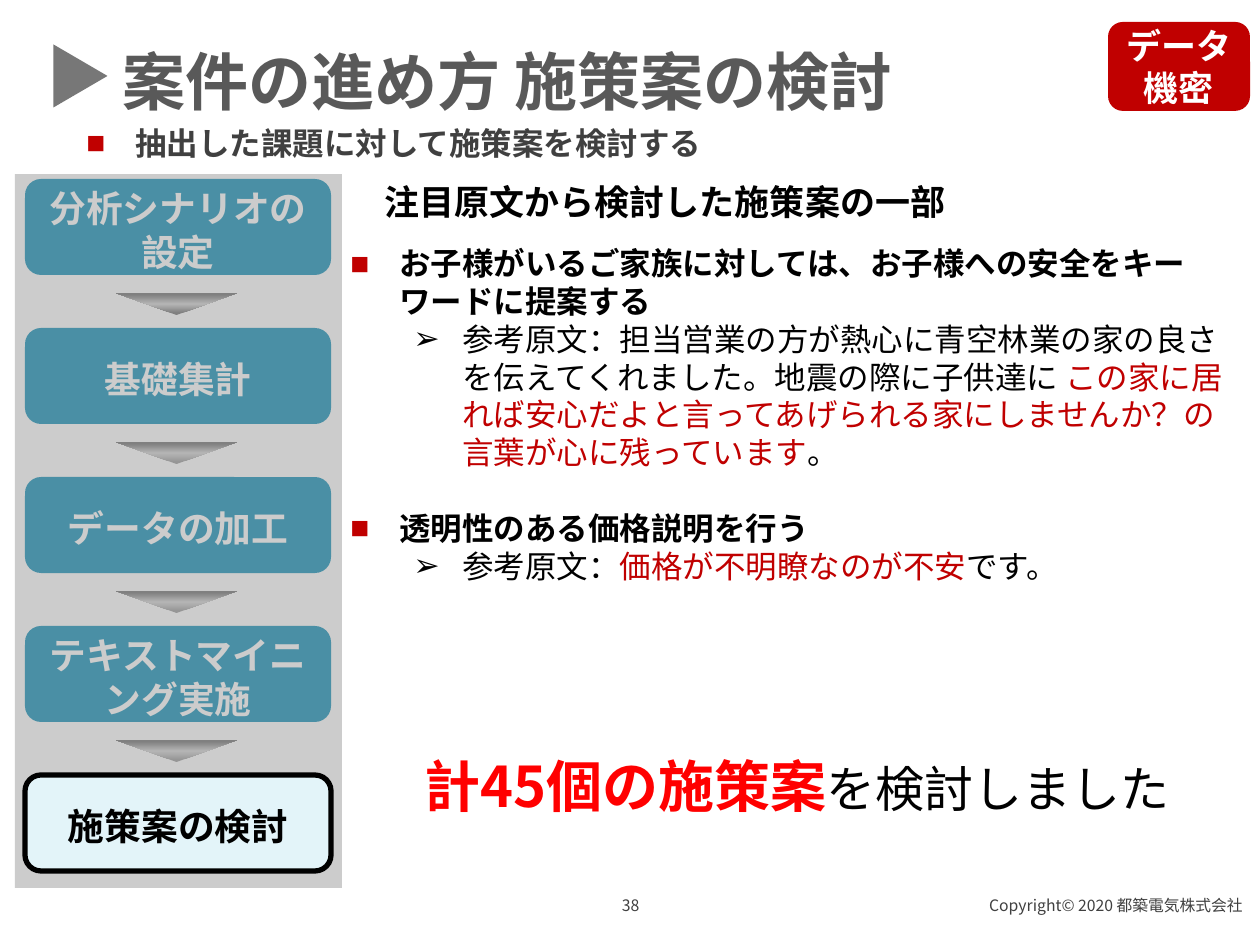
from lxml import etree
from pptx import Presentation, util as u
from pptx.dml.color import RGBColor
from pptx.enum import shapes, text
from pptx.oxml import parse_xml
from pptx.oxml.ns import nsdecls, qn

PX = 914400 / 126
ARIAL = "Arial"
NOTO = "Noto Sans CJK JP"
BLACK = RGBColor(0x00, 0x00, 0x00)
WHITE = RGBColor(0xFF, 0xFF, 0xFF)
CRIMSON = RGBColor(0xC0, 0x00, 0x00)
RED = RGBColor(0xFF, 0x00, 0x00)
TEAL = RGBColor(0x26, 0x9A, 0xBE)
PALE = RGBColor(0xE3, 0xF4, 0xF9)
GRAY = RGBColor(0x80, 0x80, 0x80)
MARKER_GRAY = RGBColor(0x77, 0x77, 0x77)
TITLE_GRAY = RGBColor(0x59, 0x59, 0x59)
TEXT_GRAY = RGBColor(0x40, 0x40, 0x40)
LEFT, CENTER, RIGHT = text.PP_ALIGN.LEFT, text.PP_ALIGN.CENTER, text.PP_ALIGN.RIGHT


def px(value):
    return u.Emu(round(value * PX))


def frame(box):
    return [px(value) for value in box]


def add_bullet(paragraph, mark, indent, color=None):
    properties = paragraph._p.get_or_add_pPr()
    properties.set("marL", str(px(indent)))
    properties.set("indent", str(-px(49)))
    if color is not None:
        fill = etree.SubElement(properties, qn("a:buClr"))
        etree.SubElement(fill, qn("a:srgbClr")).set("val", str(color))
    etree.SubElement(properties, qn("a:buFont")).set("typeface", ARIAL)
    etree.SubElement(properties, qn("a:buChar")).set("char", mark)


def write(paragraph, runs, size, color, font=ARIAL, bold=False, align=LEFT):
    paragraph.font.size = u.Pt(size)
    paragraph.font.name = font
    paragraph.font.bold = bold
    paragraph.alignment = align
    paragraph.line_spacing = u.Pt(round(size * 1.2, 1))
    for words, run_color in runs:
        run = paragraph.add_run()
        run.text = words
        run.font.color.rgb = run_color or color
        properties = run._r.get_or_add_rPr()
        etree.SubElement(properties, qn("a:ea")).set("typeface", NOTO)


def add_shape(slide, kind, box, fill=None, line=None):
    shape = slide.shapes.add_shape(kind, *frame(box))
    shape.shadow.inherit = False
    if fill is not None:
        shape.fill.solid()
        shape.fill.fore_color.rgb = fill
    if line is None:
        shape.line.fill.background()
    else:
        shape.line.color.rgb = line
        shape.line.width = u.Pt(3)
    return shape


def add_text(slide, box):
    text_frame = slide.shapes.add_textbox(*frame(box)).text_frame
    text_frame.word_wrap = True
    return text_frame


def add_label(slide, box, words, size, color, **style):
    write(add_text(slide, box).paragraphs[0], [(words, None)], size, color, **style)


def add_header(slide, box):
    left, top, width, height = box
    marker = add_shape(slide, shapes.MSO_SHAPE.ISOSCELES_TRIANGLE,
                       (left + 49, top + 49, 63, 54), MARKER_GRAY)
    marker.rotation = 90

    title = slide.shapes.title
    title.left, title.top, title.width, title.height = frame((left + 110, top + 35, 806, 90))
    title.text_frame.auto_size = text.MSO_AUTO_SIZE.NONE
    title.text_frame.vertical_anchor = text.MSO_ANCHOR.MIDDLE
    write(title.text_frame.paragraphs[0], [("案件の進め方 施策案の検討", None)],
          36, TITLE_GRAY, bold=True)

    lead = add_text(slide, (left + 74, top + 118, 1108, 50)).paragraphs[0]
    add_bullet(lead, "■", 49, CRIMSON)
    write(lead, [("抽出した課題に対して施策案を検討する", None)], 18, TEXT_GRAY, bold=True)

    badge = add_shape(slide, shapes.MSO_SHAPE.ROUNDED_RECTANGLE,
                      (left + width - 152, top + 22, 142, 89), CRIMSON)
    badge.text_frame.vertical_anchor = text.MSO_ANCHOR.MIDDLE
    write(badge.text_frame.paragraphs[0], [("データ機密", None)], 20, WHITE,
          bold=True, align=CENTER)


def add_step(slide, box, lines, fill, color, line=None):
    step = add_shape(slide, shapes.MSO_SHAPE.ROUNDED_RECTANGLE, box, fill, line)
    text_frame = step.text_frame
    text_frame.vertical_anchor = text.MSO_ANCHOR.MIDDLE
    text_frame.margin_top, text_frame.margin_bottom = px(11), px(6)
    for index, words in enumerate(lines):
        paragraph = text_frame.add_paragraph() if index else text_frame.paragraphs[0]
        write(paragraph, [(words, None)], 21, color, bold=True, align=CENTER)


def add_step_arrow(slide, box, edge):
    arrow = add_shape(slide, shapes.MSO_SHAPE.ISOSCELES_TRIANGLE, box)
    arrow.rotation = 180
    stops = "".join(
        f'<a:gs pos="{place}000"><a:srgbClr val="{color}"/></a:gs>'
        for place, color in ((10, edge), (50, "D9D9D9"), (93, "808080")))
    gradient = parse_xml(
        f'<a:gradFill {nsdecls("a")} rotWithShape="1"><a:gsLst>{stops}</a:gsLst>'
        '<a:lin ang="5400000" scaled="0"/></a:gradFill>')
    arrow._element.spPr.find(qn("a:prstGeom")).addnext(gradient)


def add_process(slide, box):
    left, top, width, height = box
    pitch = 149
    past_steps = [["分析シナリオの", "設定"], ["基礎集計"], ["データの加工"],
                  ["テキストマイニング実施"]]
    for index, lines in enumerate(past_steps):
        step_top = top + 5 + index * pitch
        add_step(slide, (left + 10, step_top, 306, 96), lines, TEAL, WHITE)
        add_step_arrow(slide, (left + 101, step_top + 114, 121, 22),
                       "A6A6A6" if index else "808080")

    veil = add_shape(slide, shapes.MSO_SHAPE.RECTANGLE, box, GRAY)
    color = veil._element.spPr.find(qn("a:solidFill"))[0]
    etree.SubElement(color, qn("a:alpha")).set("val", "40000")

    add_step(slide, (left + 10, top + 5 + len(past_steps) * pitch, 306, 96),
             ["施策案の検討"], PALE, BLACK, BLACK)


def add_proposals(slide, box):
    left, top, width, height = box
    add_label(slide, (left + 34, top, 591, 55), "注目原文から検討した施策案の一部",
              20, BLACK, font=NOTO, bold=True)

    proposals = [
        ("お子様がいるご家族に対しては、お子様への安全をキーワードに提案する",
         [("参考原文：担当営業の方が熱心に青空林業の家の良さを伝えてくれました。地震の際に子供達に ", None),
          ("この家に居れば安心だよと言ってあげられる家にしませんか？の言葉が心に残っています", CRIMSON),
          ("。", None)]),
        ("透明性のある価格説明を行う",
         [("参考原文：", None), ("価格が不明瞭なのが不安", CRIMSON), ("です。", None)]),
    ]
    text_frame = add_text(slide, (left, top + 64, width, 359))
    for index, (proposal, quote) in enumerate(proposals):
        heading = text_frame.add_paragraph() if index else text_frame.paragraphs[0]
        add_bullet(heading, "■", 49, CRIMSON)
        write(heading, [(proposal, None)], 18, BLACK, bold=True)
        if index:
            heading.space_before = u.Pt(21.6)
        reference = text_frame.add_paragraph()
        reference.level = 1
        add_bullet(reference, "➢", 112)
        write(reference, quote, 18, BLACK, font=NOTO)

    total = add_text(slide, (left + 74, top + 576, 774, 130)).paragraphs[0]
    write(total, [("計45個の施策案", RED), ("を検討しました", None)], 28, BLACK, font=NOTO)
    total.line_spacing = u.Pt(36)
    total.runs[0].font.size = u.Pt(32)
    total.runs[0].font.bold = True


def add_footer(slide, box):
    left, top, width, height = box
    add_label(slide, (left + 489, top, 283, height), "38", 9, TEXT_GRAY,
              font=NOTO, align=CENTER)
    add_label(slide, (left + width - 461, top, 456, height),
              "Copyright© 2020 都築電気株式会社", 9, TEXT_GRAY, font=NOTO, align=RIGHT)


def main():
    deck = Presentation()
    deck.slide_width, deck.slide_height = px(1260), px(945)
    slide = deck.slides.add_slide(deck.slide_layouts[5])
    add_header(slide, (0, 0, 1260, 168))
    add_process(slide, (15, 174, 327, 714))
    add_proposals(slide, (338, 174, 898, 714))
    add_footer(slide, (0, 890, 1260, 50))
    deck.save("out.pptx")


if __name__ == "__main__":
    main()
